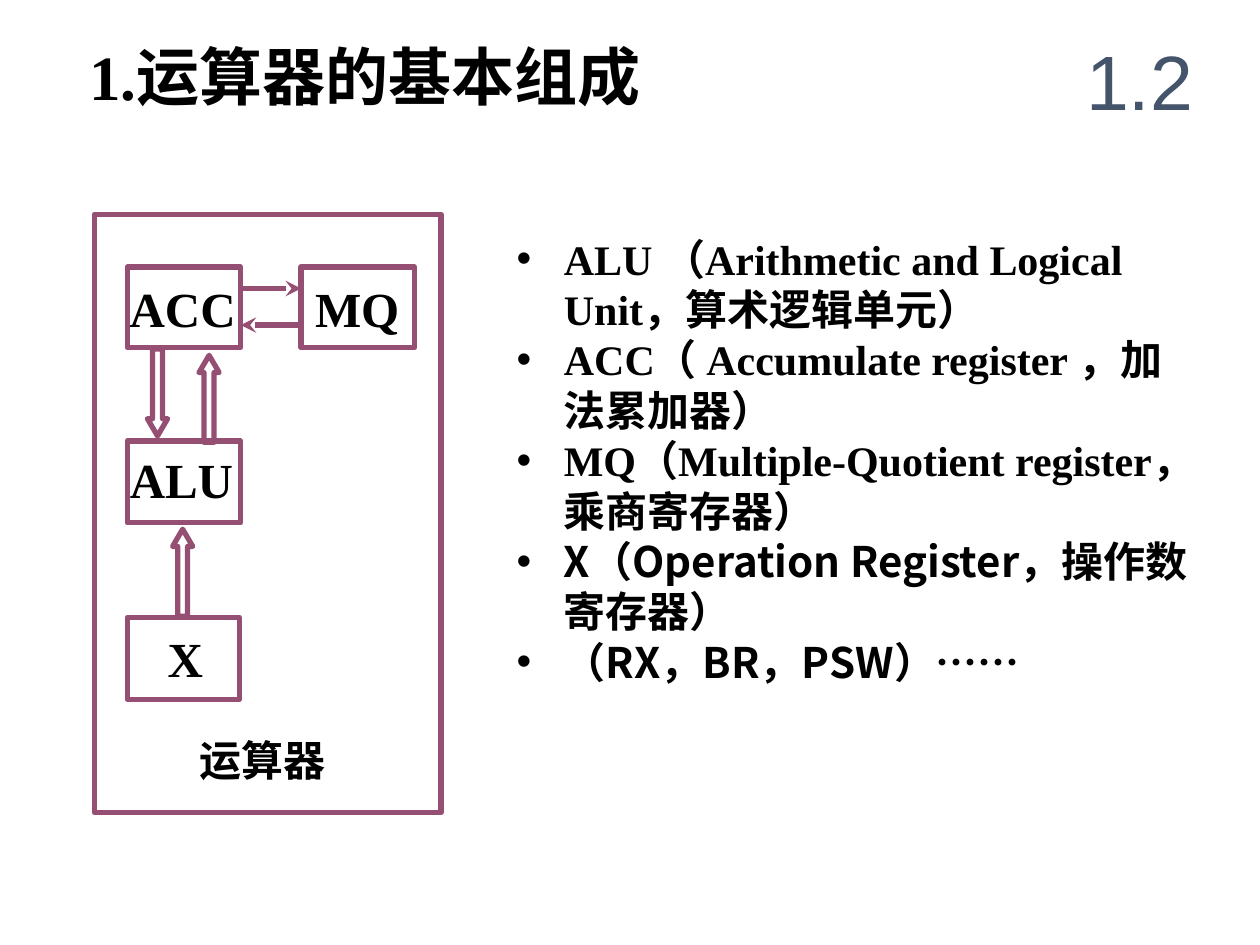
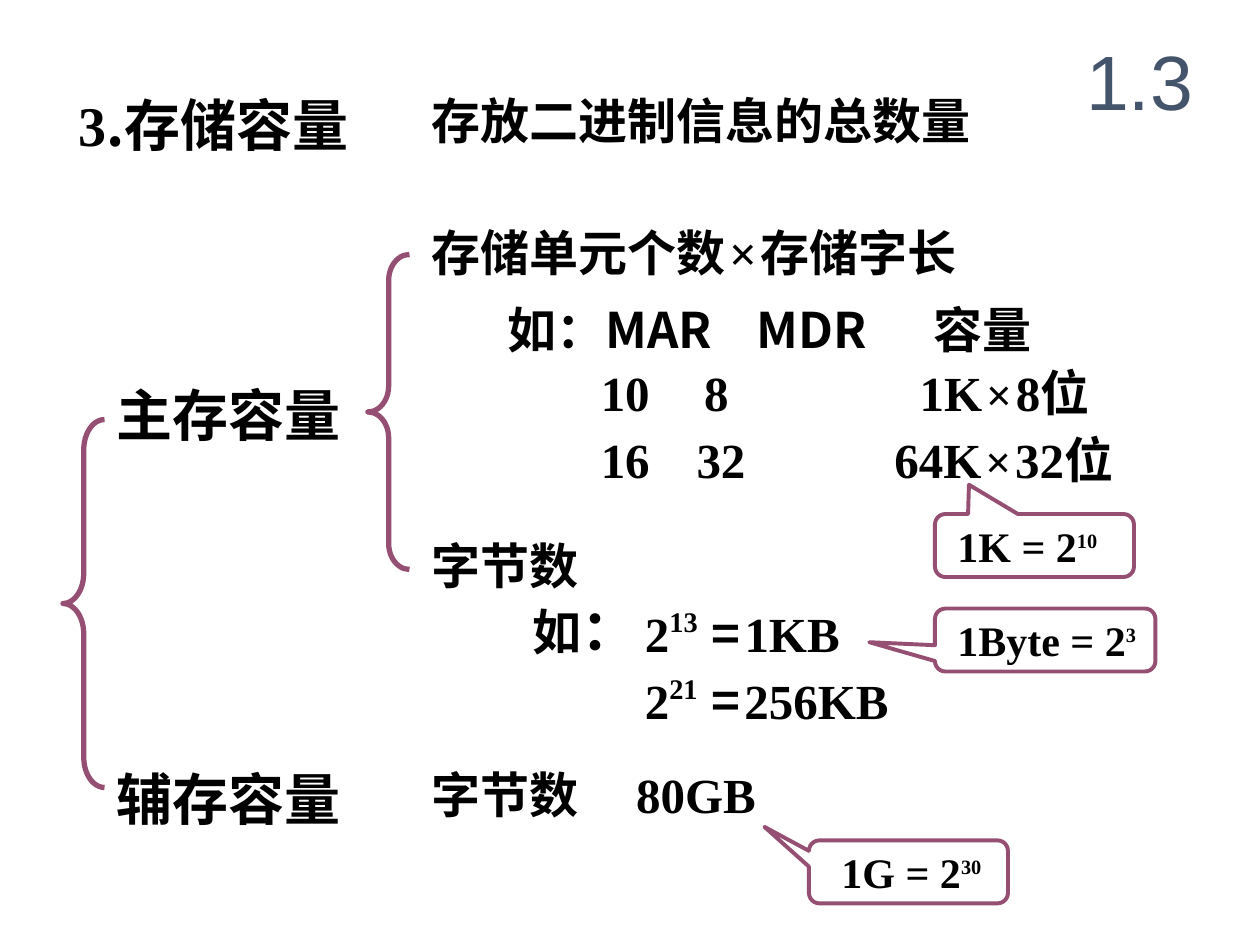
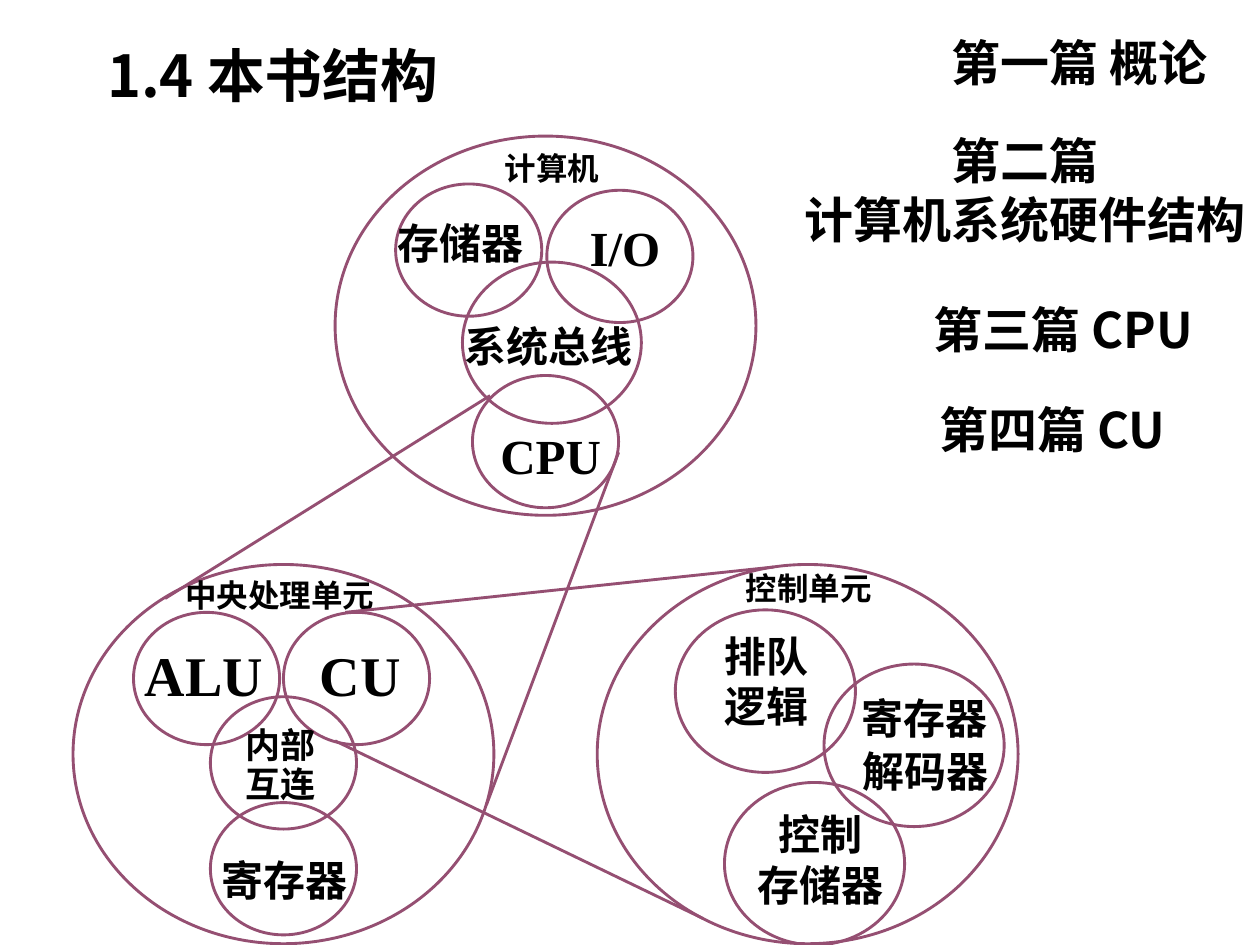
from dataclasses import dataclass

from lxml.etree import SubElement
from pptx import Presentation
from pptx.dml.color import RGBColor
from pptx.enum.shapes import MSO_CONNECTOR, MSO_SHAPE
from pptx.enum.text import MSO_ANCHOR, MSO_AUTO_SIZE, PP_ALIGN
from pptx.oxml.ns import qn
from pptx.util import Emu, Pt

# Shared style: 100 px to the inch
PX = 9144
COLORS = {"text": "000000", "section": "44546A", "line": "954F72"}
SANS = "Noto Sans CJK SC"
SERIF = "Times New Roman"
LEFT, CENTER = PP_ALIGN.LEFT, PP_ALIGN.CENTER
TITLE_AND_BODY, TITLE_ONLY = 1, 5


@dataclass(frozen=True)
class Box:
    x: int
    y: int
    w: int
    h: int

    def emu(self) -> list[Emu]:
        return [Emu(side * PX) for side in (self.x, self.y, self.w, self.h)]


@dataclass(frozen=True)
class Run:
    text: str
    size: int = 28
    font: str = SANS
    raised: bool = False
    color: str = "text"
    bold: bool = True


@dataclass(frozen=True)
class Label:
    box: Box
    lines: list[list[Run]]
    align: PP_ALIGN = CENTER
    inset: bool = False
    tabs: tuple[int, ...] = ()


@dataclass(frozen=True)
class Outline:
    kind: MSO_SHAPE
    box: Box
    weight: float = 3
    adjust: tuple[float, ...] = ()
    turn: int = 0


@dataclass(frozen=True)
class Link:
    x1: int
    y1: int
    x2: int
    y2: int
    weight: float = 1.63
    arrow: bool = False


# Text
def add_run(paragraph, part: Run) -> None:
    run = paragraph.add_run()
    run.text = part.text
    run.font.size = Pt(part.size)
    run.font.bold = part.bold
    run.font.color.rgb = RGBColor.from_string(COLORS[part.color])
    run.font.name = part.font
    properties = run._r.get_or_add_rPr()
    SubElement(properties, qn("a:ea"), typeface=SANS)
    if part.raised:
        properties.set("baseline", "40000")


def write(frame, lines: list[list[Run]], align: PP_ALIGN, tabs: tuple[int, ...] = ()) -> None:
    frame.auto_size = MSO_AUTO_SIZE.NONE
    for index, line in enumerate(lines):
        paragraph = frame.add_paragraph() if index else frame.paragraphs[0]
        paragraph.alignment = align
        paragraph.space_before = Pt(0)
        if tabs:
            stops = SubElement(paragraph._p.get_or_add_pPr(), qn("a:tabLst"))
            for stop in tabs:
                SubElement(stops, qn("a:tab"), pos=str(stop * PX), algn="l")
        for part in line:
            add_run(paragraph, part)


def add_label(slide, label: Label):
    frame = slide.shapes.add_textbox(*label.box.emu()).text_frame
    frame.word_wrap = label.align == LEFT
    if not label.inset:
        frame.margin_left = frame.margin_right = 0
        frame.margin_top = frame.margin_bottom = 0
    write(frame, label.lines, label.align, label.tabs)
    return frame


def add_section(slide, number: str) -> None:
    run = Run(number, 44, "Arial", color="section", bold=False)
    frame = add_label(slide, Label(Box(842, 17, 125, 92), [[run]], inset=True))
    frame.vertical_anchor = MSO_ANCHOR.MIDDLE


def fill_placeholder(holder, box: Box, lines: list[list[Run]], align: PP_ALIGN,
                     anchor: MSO_ANCHOR = MSO_ANCHOR.TOP) -> None:
    holder.left, holder.top, holder.width, holder.height = box.emu()
    holder.text_frame.word_wrap = True
    holder.text_frame.vertical_anchor = anchor
    write(holder.text_frame, lines, align)


# Shapes and lines
def add_outline(slide, outline: Outline) -> None:
    shape = slide.shapes.add_shape(outline.kind, *outline.box.emu())
    shape.shadow.inherit = False
    shape.fill.background()
    shape.line.color.rgb = RGBColor.from_string(COLORS["line"])
    shape.line.width = Pt(outline.weight)
    shape.rotation = outline.turn
    for index, value in enumerate(outline.adjust):
        shape.adjustments[index] = value


def add_link(slide, link: Link) -> None:
    ends = [Emu(end * PX) for end in (link.x1, link.y1, link.x2, link.y2)]
    line = slide.shapes.add_connector(MSO_CONNECTOR.STRAIGHT, *ends)
    line.line.color.rgb = RGBColor.from_string(COLORS["line"])
    line.line.width = Pt(link.weight)
    if link.arrow:
        SubElement(line.line._get_or_add_ln(), qn("a:tailEnd"), type="stealth")
    SubElement(line._element.spPr, qn("a:effectLst"))


# Slide 1: parts of the arithmetic unit
def build_arithmetic_unit(deck) -> None:
    slide = deck.slides.add_slide(deck.slide_layouts[TITLE_AND_BODY])
    title, terms = slide.placeholders
    fill_placeholder(title, Box(58, 25, 463, 71),
                     [[Run("1.", 36, SERIF), Run("运算器的基本组成", 36)]], CENTER)
    add_section(slide, "1.2")

    definitions = [
        ("ALU （Arithmetic and Logical Unit，算术逻辑单元）", SERIF),
        ("ACC（ Accumulate register ，加法累加器）", SERIF),
        ("MQ（Multiple-Quotient register， 乘商寄存器）", SERIF),
        ("X（Operation Register，操作数寄存器）", SANS),
        ("（RX，BR，PSW）……", SANS),
    ]
    fill_placeholder(terms, Box(400, 180, 559, 406),
                     [[Run(text, 24, font)] for text, font in definitions], LEFT)

    # Unit frame with its registers
    add_outline(slide, Outline(MSO_SHAPE.RECTANGLE, Box(75, 170, 275, 475)))
    add_label(slide, Label(Box(158, 583, 101, 40), [[Run("运算器", 24)]]))
    registers = [
        ("ACC", Box(101, 212, 90, 64), Box(103, 221, 84, 47)),
        ("MQ", Box(239, 212, 90, 64), Box(250, 221, 67, 47)),
        ("ALU", Box(101, 350, 90, 65), Box(103, 357, 82, 47)),
        ("X", Box(101, 490, 89, 65), Box(133, 499, 28, 47)),
    ]
    for name, register_box, name_box in registers:
        add_outline(slide, Outline(MSO_SHAPE.RECTANGLE, register_box))
        add_label(slide, Label(name_box, [[Run(name, 28, SERIF)]]))

    # Data flow
    for x, y, turn in [(158, 282, 0), (137, 420, 0), (117, 277, 180)]:
        add_outline(slide, Outline(MSO_SHAPE.UP_ARROW, Box(x, y, 16, 69),
                                   adjust=(0.495, 0.857), turn=turn))
    add_link(slide, Link(191, 229, 239, 229, 3, arrow=True))
    add_link(slide, Link(239, 258, 191, 258, 3, arrow=True))


# Slide 2: storage capacity
def product(count: str, length: str, sign_size: int, gap_font: str, font: str) -> list[Run]:
    gap = Run(" ", 9, gap_font)
    return [Run(count, 28, font), gap, Run("×", sign_size, SERIF), gap, Run(length, 28, font)]


def power(exponent: str, amount: str) -> list[Run]:
    return [Run("2", 28, SERIF), Run(exponent, 28, SERIF, raised=True), Run("\t="),
            Run(" ", 10), Run(amount, 28, SERIF)]


def build_capacity(deck) -> None:
    slide = deck.slides.add_slide(deck.slide_layouts[TITLE_ONLY])
    fill_placeholder(slide.shapes.title, Box(52, 67, 348, 63),
                     [[Run("3", 32, SERIF), Run(".存储容量", 32)]], LEFT)
    add_section(slide, "1.3")

    # Braces
    for box, curve in [(Box(50, 333, 33, 292), 0.729), (Box(292, 202, 33, 250), 0.625)]:
        add_outline(slide, Outline(MSO_SHAPE.LEFT_BRACE, box, adjust=(curve, 0.5)))

    # Text rows, with tab stops for their columns
    rows = [
        (Box(333, 67, 558, 57), [Run("存放二进制信息的总数量")], ()),
        (Box(83, 297, 220, 63), [Run("主存容量", 32)], ()),
        (Box(83, 602, 220, 63), [Run("辅存容量", 32)], ()),
        (Box(333, 172, 558, 57), product("存储单元个数", "存储字长", 28, SANS, SANS), ()),
        (Box(393, 233, 574, 57), [Run("如：MAR\tMDR\t容量")], (198, 338)),
        (Box(467, 283, 250, 57), [Run("10\t8", 28, SERIF)], (82,)),
        (Box(467, 336, 250, 57), [Run("16\t32", 28, SERIF)], (76,)),
        (Box(720, 283, 225, 57), product("1K", "8位", 26, SERIF, SERIF), ()),
        (Box(700, 336, 233, 57), product("64K", "32位", 26, SERIF, SERIF), ()),
        (Box(333, 420, 184, 57), [Run("字节数")], ()),
        (Box(413, 467, 95, 63), [Run("如"), Run("：", 32)], ()),
        (Box(502, 474, 281, 57), power("13", "1KB"), (53,)),
        (Box(502, 527, 284, 57), power("21", "256KB"), (53,)),
        (Box(333, 602, 375, 57), [Run("字节数"), Run("\t80GB", 28, SERIF)], (162,)),
    ]
    for box, runs, tabs in rows:
        add_label(slide, Label(box, [runs], LEFT, inset=True, tabs=tabs))

    # Unit callouts
    callouts = [
        ("1K = 2", "10", Box(742, 408, 158, 50), 750, (-0.329, -0.965)),
        ("1Byte = 2", "3", Box(742, 483, 175, 50), 750, (-0.798, 0.035)),
        ("1G = 2", "30", Box(642, 667, 158, 50), 658, (-0.724, -0.715)),
    ]
    for unit, exponent, box, text_x, tip in callouts:
        add_outline(slide, Outline(MSO_SHAPE.ROUNDED_RECTANGULAR_CALLOUT, box, 2.25,
                                   (*tip, 0.167)))
        runs = [Run(unit, 24, SERIF), Run(exponent, 20, SERIF, raised=True)]
        add_label(slide, Label(Box(text_x, box.y, 200, 50), [runs], LEFT, inset=True))


# Slide 3: structure of the book
def build_book_structure(deck) -> None:
    slide = deck.slides.add_slide(deck.slide_layouts[TITLE_ONLY])
    title = slide.shapes.title
    fill_placeholder(title, Box(75, 0, 850, 125), [[Run("1.4 本书结构", 33)]],
                     LEFT, MSO_ANCHOR.MIDDLE)
    title.text_frame.paragraphs[0].line_spacing = 0.9

    # Parts of the book
    parts = [
        (Box(727, 21, 260, 57), ["第一篇 概论"]),
        (Box(627, 99, 373, 113), ["第二篇", "计算机系统硬件结构"]),
        (Box(692, 233, 304, 57), ["第三篇 CPU"]),
        (Box(697, 312, 276, 57), ["第四篇 CU"]),
    ]
    for box, lines in parts:
        add_label(slide, Label(box, [[Run(line)] for line in lines], inset=True))

    # Circles by size: computer, processor and control unit, then what they hold
    circles = {
        (334, 301): [(266, 108), (58, 448), (474, 448)],
        (142, 128): [(367, 208)],
        (116, 105): [(314, 146), (434, 151), (375, 298),
                     (106, 486), (225, 486), (167, 553), (167, 637)],
        (143, 129): [(536, 484), (654, 527), (575, 621)],
    }
    for size, corners in circles.items():
        for corner in corners:
            add_outline(slide, Outline(MSO_SHAPE.OVAL, Box(*corner, *size), 1.63))

    # Circle names
    names = [
        (Box(400, 118, 76, 30), "计算机", 18, SANS, CENTER),
        (Box(315, 173, 101, 40), "存储器", 24, SANS, CENTER),
        (Box(455, 173, 82, 47), "I/O", 28, SERIF, CENTER),
        (Box(368, 254, 135, 40), "系统总线", 24, SANS, CENTER),
        (Box(397, 338, 80, 47), "CPU", 28, SERIF, CENTER),
        (Box(147, 457, 262, 30), "中央处理单元", 18, SANS, LEFT),
        (Box(115, 508, 94, 53), "ALU", 32, SERIF, CENTER),
        (Box(254, 508, 64, 53), "CU", 32, SERIF, CENTER),
        (Box(195, 574, 147, 33), "内部", 20, SANS, LEFT),
        (Box(195, 605, 105, 33), "互连", 20, SANS, LEFT),
        (Box(175, 678, 101, 40), "寄存器", 24, SANS, CENTER),
        (Box(592, 452, 145, 30), "控制单元", 18, SANS, LEFT),
        (Box(541, 500, 135, 88), "排队 逻辑", 24, SANS, CENTER),
        (Box(683, 550, 101, 40), "寄存器", 24, SANS, CENTER),
        (Box(684, 592, 101, 40), "解码器", 24, SANS, CENTER),
        (Box(592, 642, 119, 88), "控制 存储器", 24, SANS, CENTER),
    ]
    for box, name, size, font, align in names:
        lines = [[Run(line, size, font)] for line in name.split()]
        add_label(slide, Label(box, lines, align))

    # Zoom lines from CPU and from CU
    for link in [Link(389, 314, 131, 475), Link(491, 359, 386, 639),
                 Link(266, 588, 558, 729), Link(274, 486, 614, 450)]:
        add_link(slide, link)


def main() -> None:
    deck = Presentation()
    deck.slide_width, deck.slide_height = Emu(1000 * PX), Emu(750 * PX)
    build_arithmetic_unit(deck)
    build_capacity(deck)
    build_book_structure(deck)
    deck.save("out.pptx")


if __name__ == "__main__":
    main()
